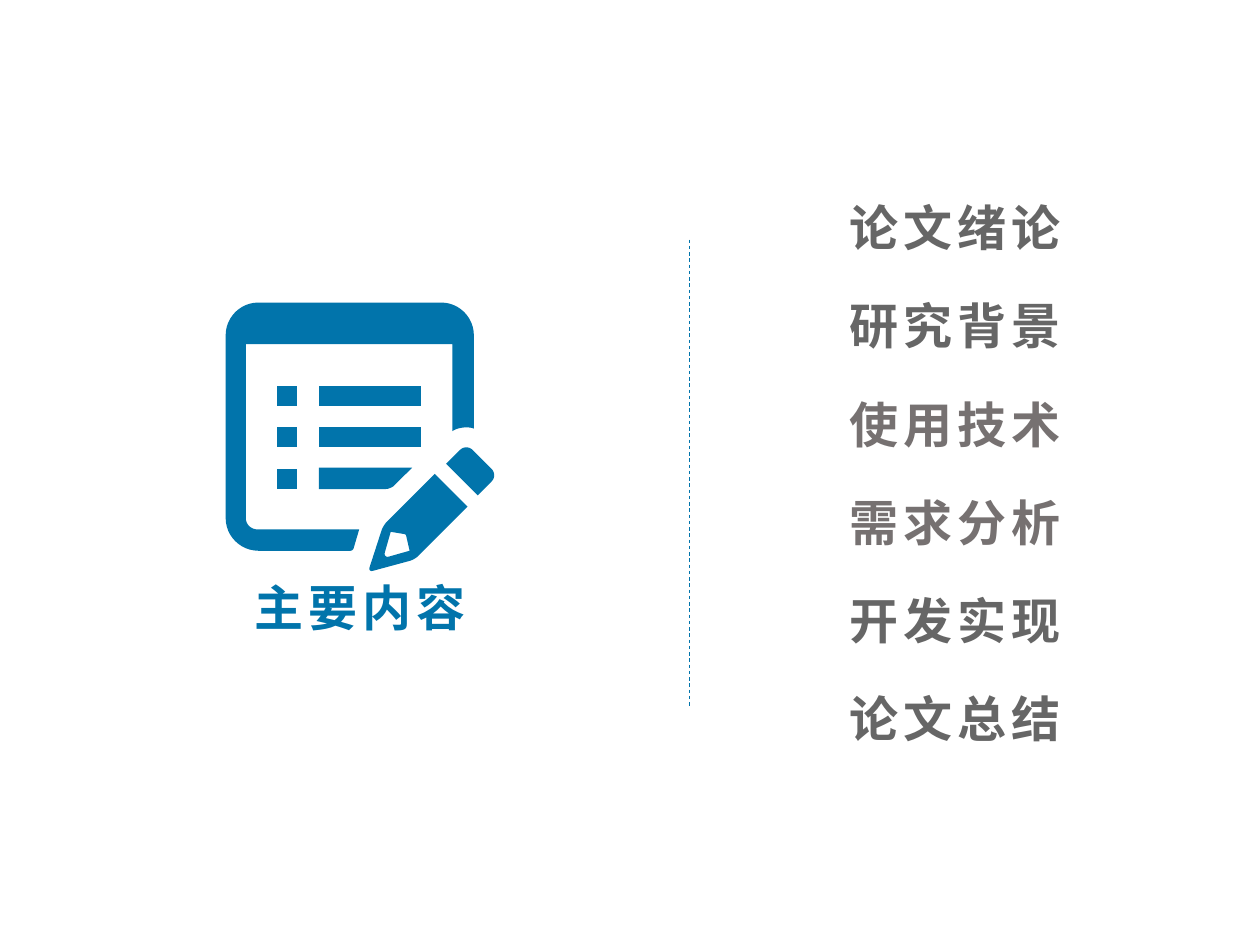
from math import dist

from lxml.etree import SubElement
from pptx import Presentation
from pptx.dml.color import RGBColor
from pptx.enum.dml import MSO_LINE
from pptx.enum.text import MSO_AUTO_SIZE, PP_ALIGN
from pptx.oxml.ns import qn
from pptx.util import Cm, Pt

COLORS = {"blue": "0174AB", "gray": "666666", "warm_gray": "767171"}
FONT = "Noto Sans CJK SC"
ICON_SIZE = 213  # icon units across the icon box
CURVE_STEPS = 12
TOPICS = [
    ("论文绪论", "gray"),
    ("研究背景", "gray"),
    ("使用技术", "warm_gray"),
    ("需求分析", "warm_gray"),
    ("开发实现", "gray"),
    ("论文总结", "gray"),
]

# Icon outlines: corners as (x, y) or (x, y, rounding)
FRAME = [(0, 0, 26), (197, 0, 26), (197, 100), (188, 97, 9), (180, 102), (180, 33),
         (16, 33), (16, 180, 9), (106, 180), (101, 197, 2), (0, 197, 26)]
PENCIL = [(166, 136), (192, 162), (150, 204, 4), (113, 214, 4), (125, 177, 4)]
PENCIL_TIP = [(131, 182), (125, 203, 5), (146, 197), (143, 184, 1)]
ERASER = [(175, 128), (191, 112, 7), (216, 137, 7), (200, 153)]
LAST_BAR = [(74, 131), (148, 131), (131, 148, 4), (74, 148)]


def rgb(name):
    return RGBColor.from_string(COLORS[name])


def toward(start, end, length):
    share = length / dist(start, end)
    return tuple(a + (b - a) * share for a, b in zip(start, end))


def round_corners(corners):
    """Turn corners into points, with a curve in place of each rounded corner."""
    points = []
    for index, (x, y, *rounding) in enumerate(corners):
        corner = (x, y)
        if not rounding:
            points.append(corner)
            continue
        cut = rounding[0]
        before = corners[index - 1][:2]
        after = corners[(index + 1) % len(corners)][:2]
        controls = [toward(corner, before, cut), toward(corner, before, cut * 0.45),
                    toward(corner, after, cut * 0.45), toward(corner, after, cut)]
        for step in range(CURVE_STEPS + 1):
            t = step / CURVE_STEPS
            weights = ((1 - t) ** 3, 3 * t * (1 - t) ** 2, 3 * t * t * (1 - t), t ** 3)
            points.append(tuple(sum(w * c[axis] for w, c in zip(weights, controls))
                                for axis in (0, 1)))
    return points


def rectangle(left, top, width, height):
    return [(left, top), (left + width, top),
            (left + width, top + height), (left, top + height)]


def add_outline(group, box, *outlines):
    """Draw one filled shape; outlines after the first are holes."""
    left, top, size, _ = box
    unit = size / ICON_SIZE
    builder = None
    for corners in outlines:
        points = [(Cm(left + x * unit), Cm(top + y * unit))
                  for x, y in round_corners(corners)]
        if builder is None:
            builder = group.shapes.build_freeform(*points[0])
        else:
            builder.move_to(*points[0])
        builder.add_line_segments(points[1:], close=True)
    shape = builder.convert_to_shape()
    shape.shadow.inherit = False
    shape.fill.solid()
    shape.fill.fore_color.rgb = rgb("blue")
    shape.line.fill.background()


def add_text(page, text, box, color, size=28, align=PP_ALIGN.LEFT, spacing=3):
    frame = page.shapes.add_textbox(*map(Cm, box)).text_frame
    frame.word_wrap = True
    frame.auto_size = MSO_AUTO_SIZE.SHAPE_TO_FIT_TEXT
    para = frame.paragraphs[0]
    para.alignment = align
    span = para.add_run()
    span.text = text
    span.font.size = Pt(size)
    span.font.bold = True
    span.font.name = FONT
    span.font.color.rgb = rgb(color)
    properties = span.font._element
    properties.set("spc", str(spacing * 100))
    SubElement(properties, qn("a:ea")).set("typeface", FONT)


def add_divider(page, box):
    left, top, width, height = box
    line = page.shapes.add_connector(1, Cm(left), Cm(top), Cm(left + width), Cm(top + height))
    line.line.color.rgb = rgb("blue")
    line.line.width = Pt(0.5)
    line.line.dash_style = MSO_LINE.DASH
    SubElement(line._element.spPr, qn("a:effectLst"))


def add_topics(page, box, pitch=1.98):
    left, top, width, height = box
    for row, (topic, color) in enumerate(TOPICS):
        add_text(page, topic, (left, top + row * pitch, width, height), color)


def add_icon(page, box):
    group = page.shapes.add_group_shape()
    add_outline(group, box, FRAME)
    add_outline(group, box, PENCIL, PENCIL_TIP)
    add_outline(group, box, ERASER)
    # Checklist rows; the pencil cuts the last bar
    for row in range(3):
        top = 66 + 33 * row
        add_outline(group, box, rectangle(41, top, 16, 16))
        add_outline(group, box, rectangle(74, top, 81, 16) if row < 2 else LAST_BAR)


def build():
    deck = Presentation()
    deck.slide_width, deck.slide_height = Cm(25.4), Cm(19.05)
    page = deck.slides.add_slide(deck.slide_layouts[6])
    add_divider(page, (13.9, 4.83, 0, 9.4))
    add_topics(page, (16.87, 3.86, 4.98, 1.45))
    add_icon(page, (4.55, 6.1, 5.41, 5.41))
    add_text(page, "主要内容", (3.56, 11.51, 7.39, 1.45), "blue", align=PP_ALIGN.CENTER)
    deck.save("out.pptx")


if __name__ == "__main__":
    build()
